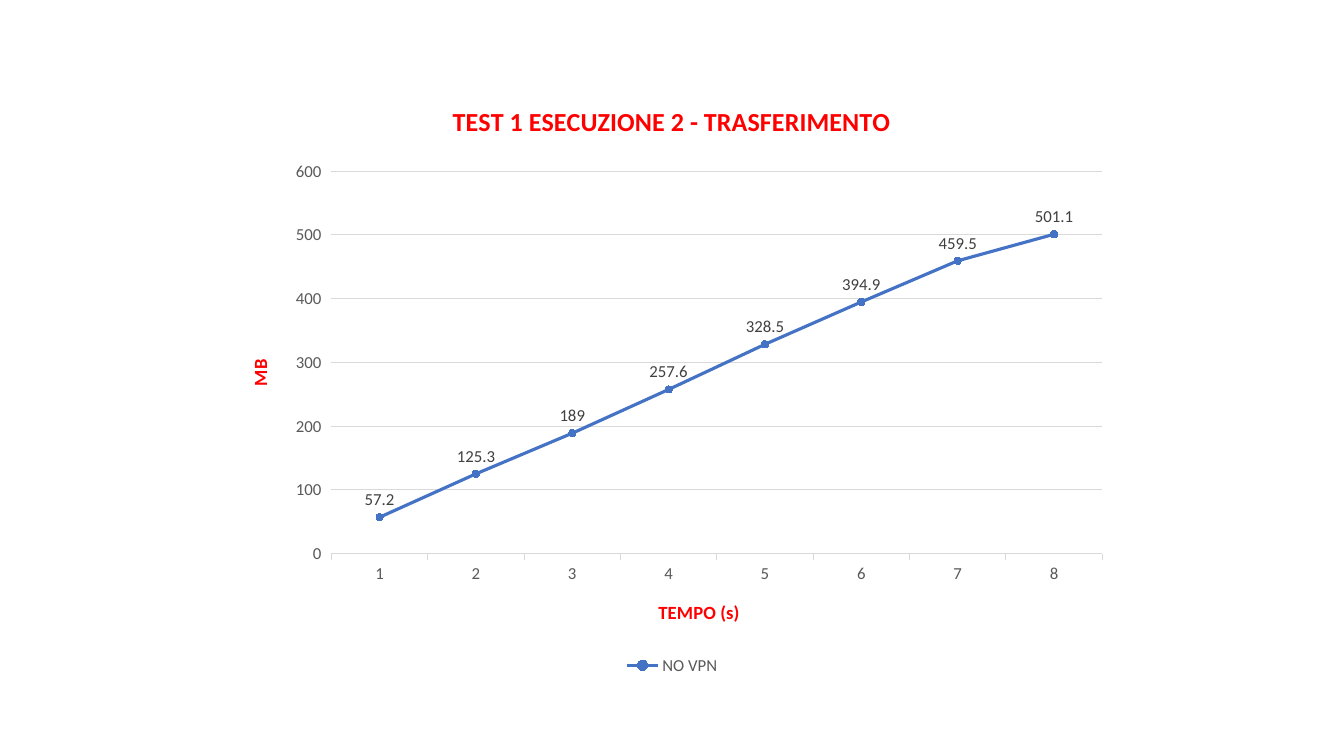
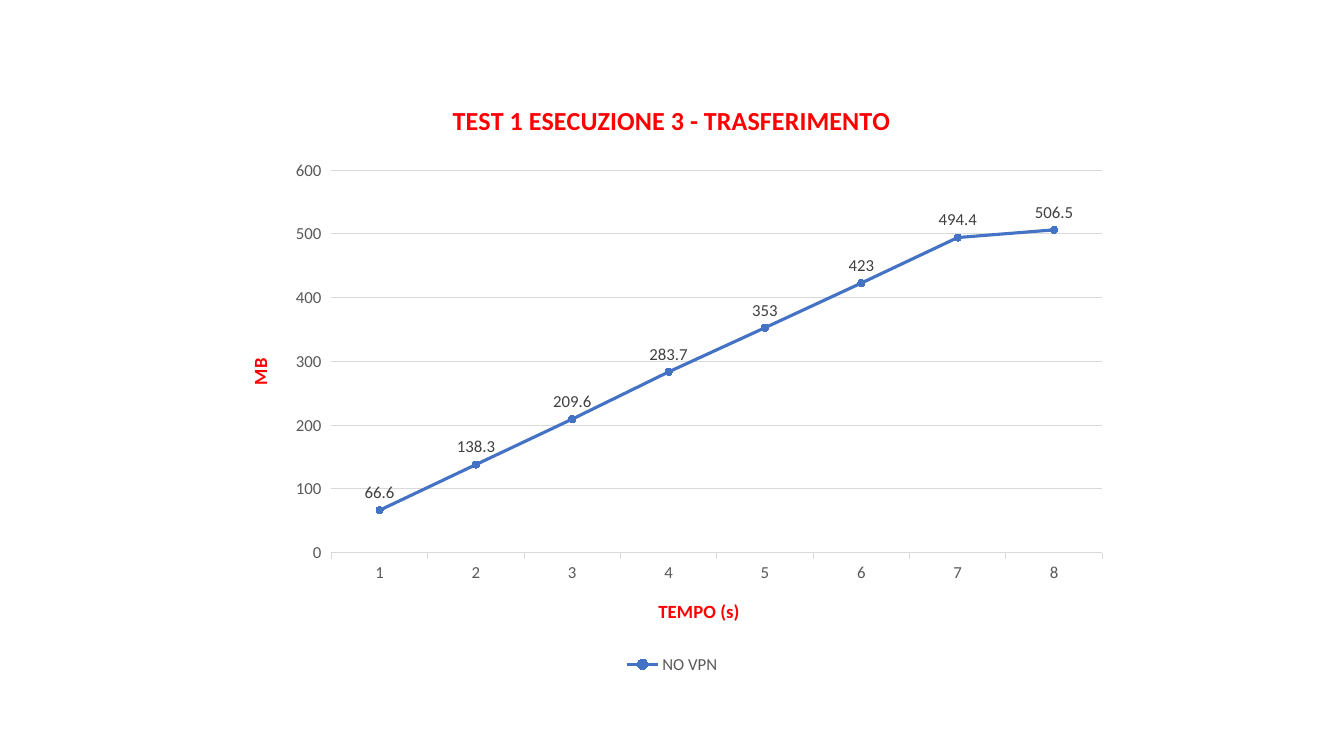
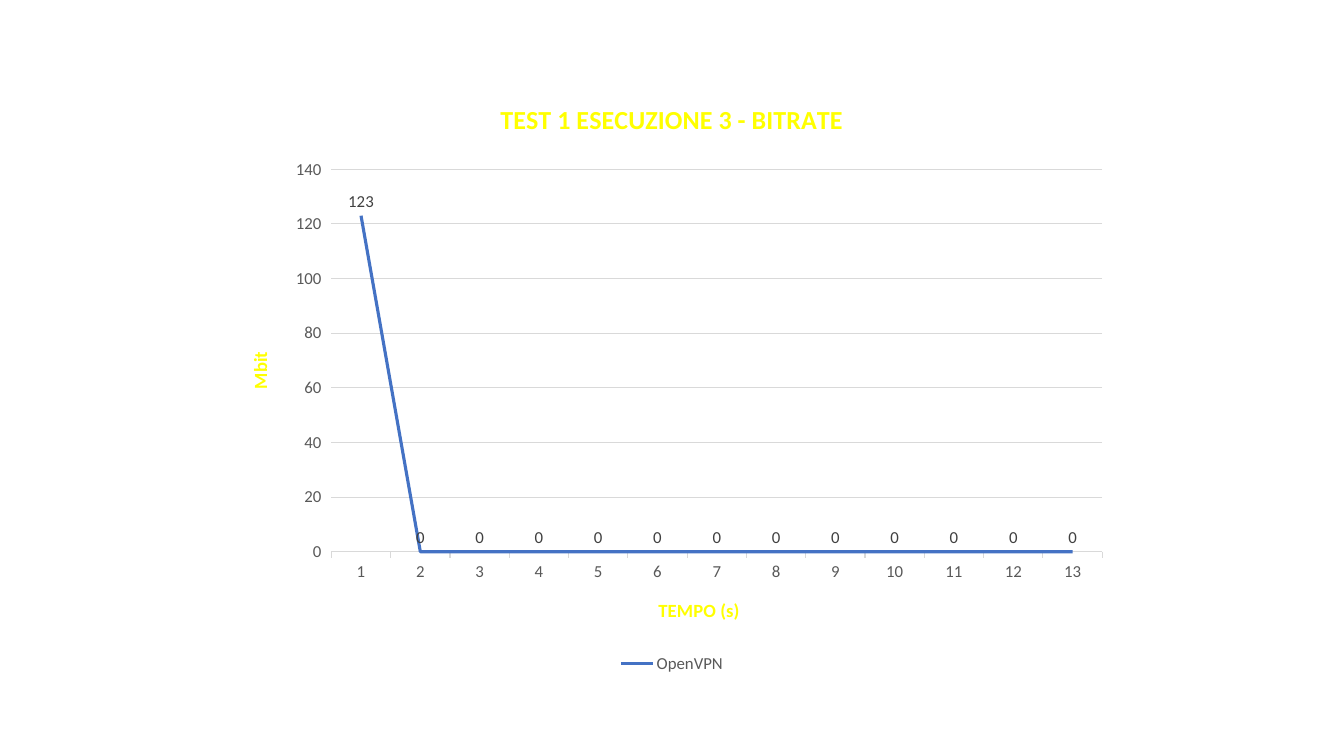
from pptx import Presentation
from pptx.chart.data import CategoryChartData as Data
from pptx.dml.color import RGBColor as Rgb
from pptx.enum.chart import XL_CHART_TYPE as Kind, XL_LABEL_POSITION as Pos
from pptx.enum.chart import XL_LEGEND_POSITION as Side, XL_MARKER_STYLE as Mark
from pptx.enum.chart import XL_TICK_MARK as Tick
from pptx.oxml import parse_xml
from pptx.oxml.ns import nsdecls, qn
from pptx.util import Inches, Pt

# Shared style
FONT = "Calibri"
HUES = {"red": "FF0000", "yellow": "FFFF00", "blue": "4472C4",
        "grid": "D9D9D9", "text": "595959", "label": "404040"}
PLOT = {"x": 0.12, "y": 0.15, "w": 0.86, "h": 0.64}

# One entry per slide
CHARTS = [
    {"title": "TEST 1 ESECUZIONE 2 - TRASFERIMENTO", "top": 0.81, "hue": "red",
     "unit": "MB", "max": 600, "step": 100, "name": "NO VPN", "dots": True,
     "vals": [57.2, 125.3, 189, 257.6, 328.5, 394.9, 459.5, 501.1]},
    {"title": "TEST 1 ESECUZIONE 3 - TRASFERIMENTO", "top": 0.8, "hue": "red",
     "unit": "MB", "max": 600, "step": 100, "name": "NO VPN", "dots": True,
     "vals": [66.6, 138.3, 209.6, 283.7, 353, 423, 494.4, 506.5]},
    {"title": "TEST 1 ESECUZIONE 3 - BITRATE", "top": 0.79, "hue": "yellow",
     "unit": "Mbit", "max": 140, "step": 20, "name": "OpenVPN", "dots": False,
     "vals": [123] + [0] * 12},
]


def color(hue):
    return Rgb.from_string(HUES[hue])


def set_font(font, size, hue, bold=False):
    font.name, font.size, font.bold = FONT, Pt(size), bold
    font.color.rgb = color(hue)


def set_line(line, hue, width):
    line.color.rgb = color(hue)
    line.width = Pt(width)


def set_title(frame, text, size, hue):
    frame.text = text
    set_font(frame.paragraphs[0].font, size, hue, True)


def set_axis(axis, text, hue):
    set_font(axis.tick_labels.font, 12, "text")
    axis.major_tick_mark = Tick.OUTSIDE
    axis.minor_tick_mark = Tick.NONE
    set_title(axis.axis_title.text_frame, text, 13.3, hue)


def set_axes(chart, item):
    cat, val = chart.category_axis, chart.value_axis
    set_axis(cat, "TEMPO (s)", item["hue"])
    cat.has_major_gridlines = False
    set_line(cat.format.line, "grid", 0.75)

    set_axis(val, item["unit"], item["hue"])
    val.minimum_scale, val.maximum_scale = 0, item["max"]
    val.major_unit = item["step"]
    val.format.line.fill.background()
    val.has_major_gridlines = True
    set_line(val.major_gridlines.format.line, "grid", 0.75)
    # Turn the value title upwards
    body = val.axis_title._element.find(".//" + qn("a:bodyPr"))
    body.set("rot", "-5400000")
    body.set("vert", "horz")


def set_series(line, dots):
    line.smooth = False
    set_line(line.format.line, "blue", 2.25)
    mark = line.marker
    mark.style = Mark.CIRCLE if dots else Mark.NONE
    if dots:
        mark.size = 5
        mark.format.fill.solid()
        mark.format.fill.fore_color.rgb = color("blue")
        set_line(mark.format.line, "blue", 0.75)
    tags = line.data_labels
    tags.show_value = True
    tags.position = Pos.ABOVE
    set_font(tags.font, 12, "label")


def fix_plot(chart):
    """Pin the inner plot area as fractions of the chart."""
    area = chart._chartSpace.find(".//" + qn("c:plotArea"))
    for old in area.findall(qn("c:layout")):
        area.remove(old)
    spots = "".join(f'<c:{key} val="{num}"/>' for key, num in PLOT.items())
    area.insert(0, parse_xml(
        f'<c:layout {nsdecls("c")}><c:manualLayout>'
        '<c:layoutTarget val="inner"/><c:xMode val="edge"/>'
        f'<c:yMode val="edge"/>{spots}</c:manualLayout></c:layout>'))


def add_line(slide, item):
    data = Data()
    data.categories = [str(i + 1) for i in range(len(item["vals"]))]
    data.add_series(item["name"], item["vals"])
    kind = Kind.LINE_MARKERS if item["dots"] else Kind.LINE
    chart = slide.shapes.add_chart(
        kind, Inches(2.22), Inches(item["top"]),
        Inches(8.89), Inches(5.93), data).chart
    chart.font.name, chart.font.size = FONT, Pt(10)
    chart.has_title = True
    set_title(chart.chart_title.text_frame, item["title"], 18.6, item["hue"])
    chart.has_legend = True
    chart.legend.position = Side.BOTTOM
    chart.legend.include_in_layout = False
    set_font(chart.legend.font, 12, "text")
    chart.plots[0].vary_by_categories = False
    set_axes(chart, item)
    set_series(chart.plots[0].series[0], item["dots"])
    fix_plot(chart)


def main():
    deck = Presentation()
    deck.slide_width, deck.slide_height = Inches(13.33), Inches(7.5)
    for item in CHARTS:
        add_line(deck.slides.add_slide(deck.slide_layouts[6]), item)
    deck.save("out.pptx")


if __name__ == "__main__":
    main()
